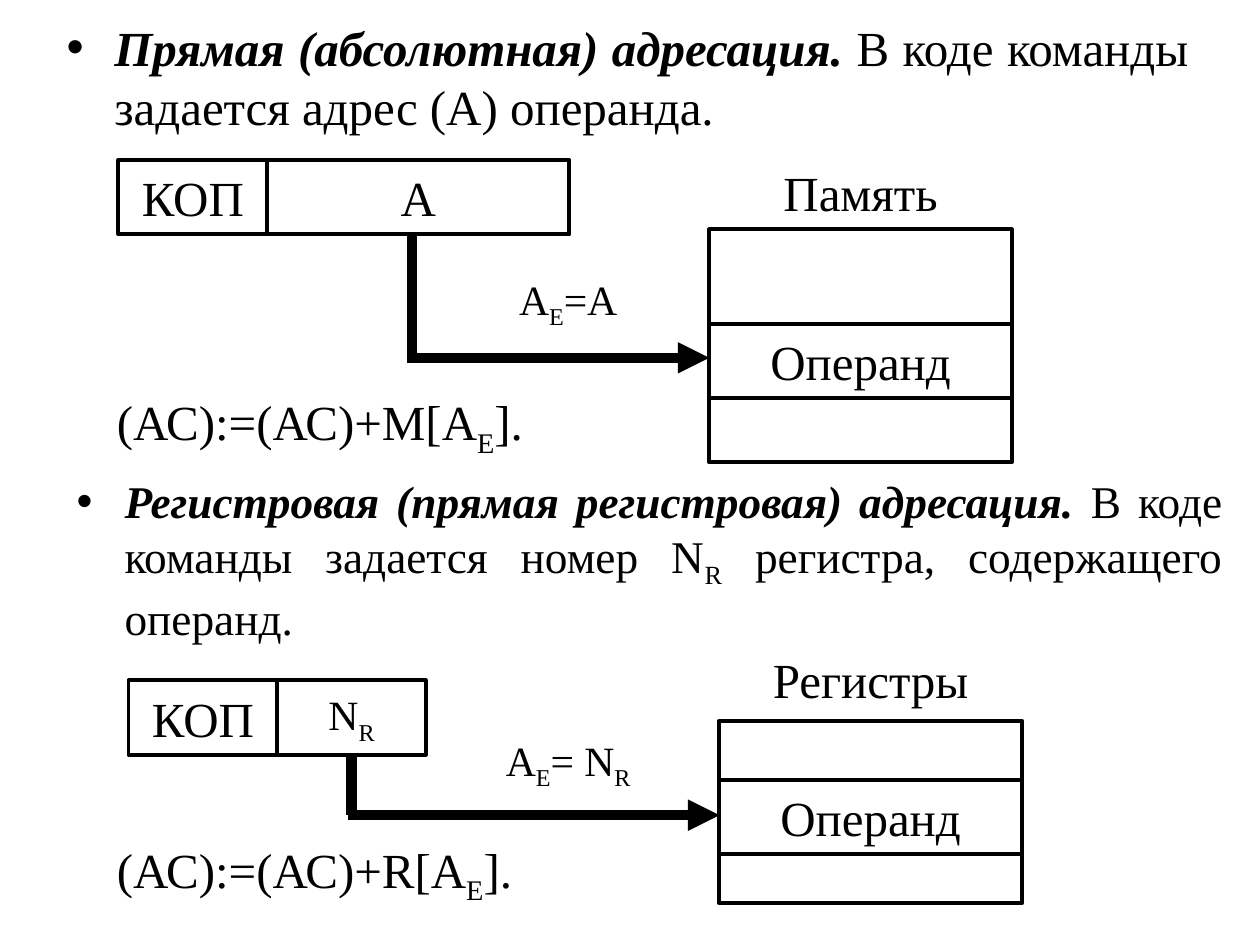
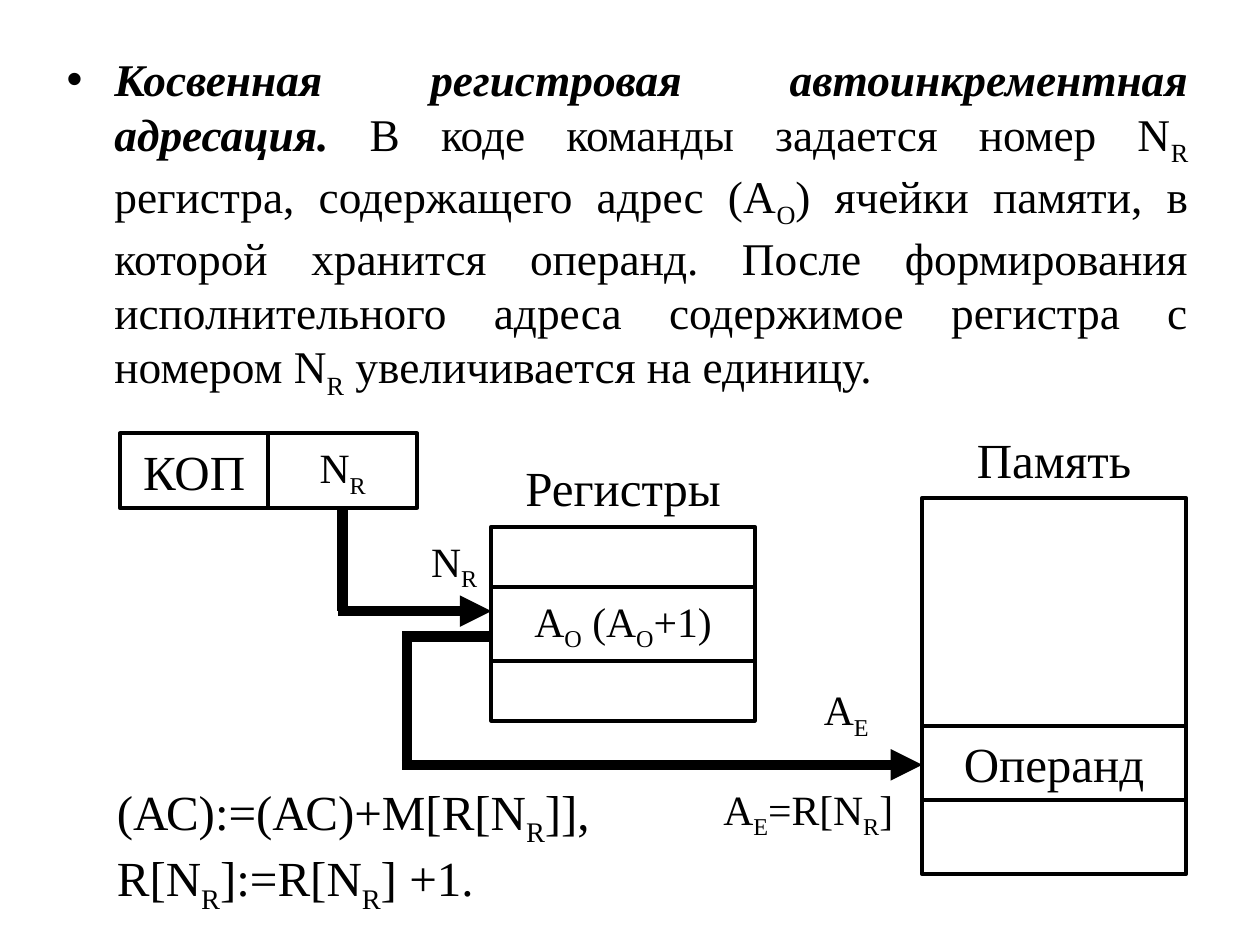
"""Two slides that explain operand addressing modes with block diagrams."""
from itertools import pairwise

from lxml.etree import SubElement
from pptx import Presentation
from pptx.dml.color import RGBColor
from pptx.enum.shapes import MSO_CONNECTOR, MSO_SHAPE
from pptx.enum.text import MSO_ANCHOR, PP_ALIGN
from pptx.oxml.ns import qn
from pptx.util import Inches, Pt

COLORS = {"ink": "000000", "paper": "FFFFFF"}
INK = RGBColor.from_string(COLORS["ink"])
FONT = "Times New Roman"
LARGE, MEDIUM, SMALL = 28, 25.9, 23.8
ROW = 0.59
OPCODE_WIDTH = 1.18


def add_text(slide, text, left, top, width, height=ROW, size=LARGE, lead="",
             align=PP_ALIGN.CENTER, anchor=MSO_ANCHOR.MIDDLE, boxed=False, bullet=False):
    """Place text, with subscripts between underscores and an optional bold lead."""
    place = [Inches(length) for length in (left, top, width, height)]
    if boxed:
        block = slide.shapes.add_shape(MSO_SHAPE.RECTANGLE, *place)
        block.shadow.inherit = False
        block.fill.background()
        block.line.color.rgb = INK
        block.line.width = Pt(2.25)
    else:
        block = slide.shapes.add_textbox(*place)
    frame = block.text_frame
    frame.word_wrap = True
    frame.vertical_anchor = anchor
    for number, line in enumerate(text.split("\n")):
        paragraph = frame.add_paragraph() if number else frame.paragraphs[0]
        paragraph.alignment = align
        if bullet:
            properties = paragraph._p.get_or_add_pPr()
            properties.set("marL", str(Inches(0.38)))
            properties.set("indent", str(-Inches(0.38)))
            SubElement(properties, qn("a:buFont"), typeface="Arial")
            SubElement(properties, qn("a:buChar"), char="•")
        paragraph.font.size = Pt(size)
        pieces = [(lead, True, False)]
        pieces += [(piece, False, index % 2 == 1) for index, piece in enumerate(line.split("_"))]
        for piece, strong, subscript in pieces:
            if piece:
                run = paragraph.add_run()
                run.text = piece
                run.font.name = FONT
                run.font.size = Pt(size)
                run.font.color.rgb = INK
                run.font.bold = run.font.italic = strong
                if subscript:
                    run.font._element.set("baseline", "-25000")


def add_route(slide, *segments):
    """Draw thick straight segments, the last of them ending in an arrowhead."""
    for segment in segments:
        wire = slide.shapes.add_connector(MSO_CONNECTOR.STRAIGHT, *map(Inches, segment))
        wire.line.color.rgb = INK
        wire.line.width = Pt(6)
        SubElement(wire._element.spPr, qn("a:effectLst"))
    SubElement(wire.line._get_or_add_ln(), qn("a:tailEnd"), type="triangle")


deck = Presentation()
deck.slide_width, deck.slide_height = Inches(10), Inches(7.5)
direct, autoincrement = [deck.slides.add_slide(deck.slide_layouts[6]) for _ in range(2)]
for slide in (direct, autoincrement):
    slide.background.fill.solid()
    slide.background.fill.fore_color.rgb = RGBColor.from_string(COLORS["paper"])

definitions = [
    (direct, 0.43, 0.09, 9.1, 1.18, LARGE, "Прямая (абсолютная) адресация.",
     " В коде команды задается адрес (А) операнда."),
    (direct, 0.51, 3.71, 9.29, 1.5, MEDIUM, "Регистровая (прямая регистровая) адресация.",
     " В коде команды задается номер N_R_ регистра, содержащего операнд."),
    (autoincrement, 0.43, 0.36, 9.1, 2.95, MEDIUM,
     "Косвенная регистровая автоинкрементная адресация.",
     " В коде команды задается номер N_R _регистра, содержащего адрес (А_О_) ячейки памяти, "
     "в которой хранится операнд. После формирования исполнительного адреса содержимое "
     "регистра с номером N_R_ увеличивается на единицу."),
]
for slide, left, top, width, height, size, term, meaning in definitions:
    add_text(slide, meaning, left, top, width, height, size=size, lead=term,
             align=PP_ALIGN.JUSTIFY, anchor=MSO_ANCHOR.TOP, bullet=True)

commands = [
    (direct, 0.94, 1.27, "А", 2.4, LARGE),
    (direct, 1.02, 5.4, "N_R_", OPCODE_WIDTH, SMALL),
    (autoincrement, 0.95, 3.44, "N_R_", OPCODE_WIDTH, SMALL),
]
for slide, left, top, address, address_width, size in commands:
    add_text(slide, "КОП", left, top, OPCODE_WIDTH, boxed=True)
    add_text(slide, address, left + OPCODE_WIDTH, top, address_width, size=size, boxed=True)

storages = [
    (direct, "Память", 1.23, 5.63, 2.4, (1.82, 2.57, 3.16, 3.67), "Операнд", LARGE),
    (direct, "Регистры", 5.09, 5.71, 2.4, (5.72, 6.19, 6.78, 7.17), "Операнд", LARGE),
    (autoincrement, "Память", 3.35, 7.32, 2.09, (3.95, 5.76, 6.35, 6.94), "Операнд", LARGE),
    (autoincrement, "Регистры", 3.57, 3.9, 2.09, (4.18, 4.66, 5.25, 5.72),
     "А_О_ (А_О_+1)", SMALL),
]
for slide, heading, heading_top, left, width, edges, content, size in storages:
    add_text(slide, heading, left, heading_top, width)
    for cell, (top, bottom) in zip(("", content, ""), pairwise(edges)):
        add_text(slide, cell, left, top, width, bottom - top, size=size, boxed=True)

add_route(direct, (3.27, 1.86, 3.27, 2.84), (3.23, 2.84, 5.63, 2.84))
add_route(direct, (2.79, 5.99, 2.79, 6.47), (2.76, 6.47, 5.71, 6.47))
add_route(autoincrement, (2.72, 4.03, 2.72, 4.85), (2.68, 4.85, 3.9, 4.85))
add_route(autoincrement, (3.9, 5.05, 3.27, 5.05), (3.23, 5.01, 3.23, 6.07),
          (3.19, 6.07, 7.32, 6.07))

address_notes = [
    (direct, "А_Е_=А", 3.31, 2.1, 2.4),
    (direct, "А_Е_= N_R_", 3.31, 5.76, 2.4),
    (autoincrement, "N_R_", 3.23, 4.18, 0.75),
    (autoincrement, "А_Е_", 6.34, 5.36, 0.75),
    (autoincrement, "А_Е_=R[N_R_]", 5.43, 6.15, 1.97),
]
for slide, note, left, top, width in address_notes:
    add_text(slide, note, left, top, width, size=SMALL)

formulas = [
    (direct, "(АС):=(АС)+М[А_Е_].", 3.06, 4.69, 0.63),
    (direct, "(АС):=(АС)+R[А_Е_].", 6.61, 4.69, 0.63),
    (autoincrement, "(АС):=(АС)+М[R[N_R_]],\nR[N_R_]:=R[N_R_] +1.", 6.15, 4.37, 1.16),
]
for slide, formula, top, width, height in formulas:
    add_text(slide, formula, 0.83, top, width, height,
             align=PP_ALIGN.LEFT, anchor=MSO_ANCHOR.TOP)

deck.save("out.pptx")
